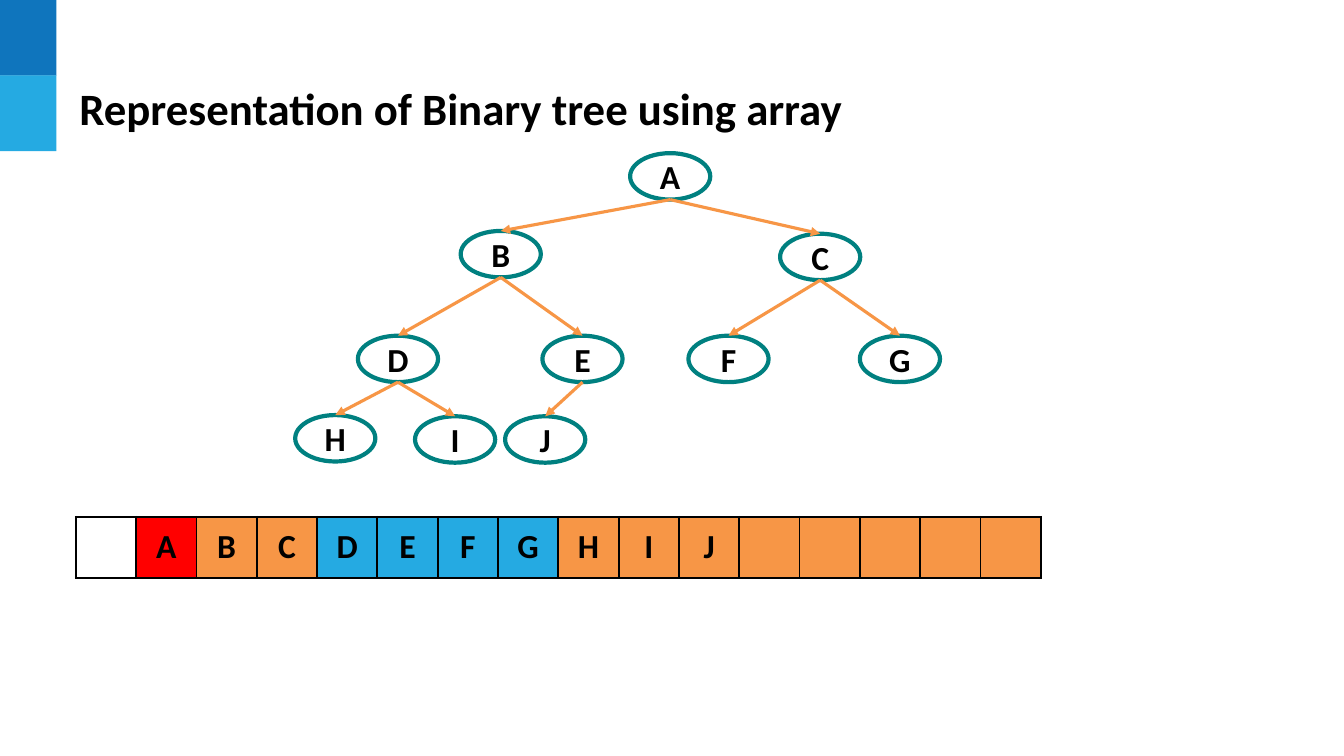
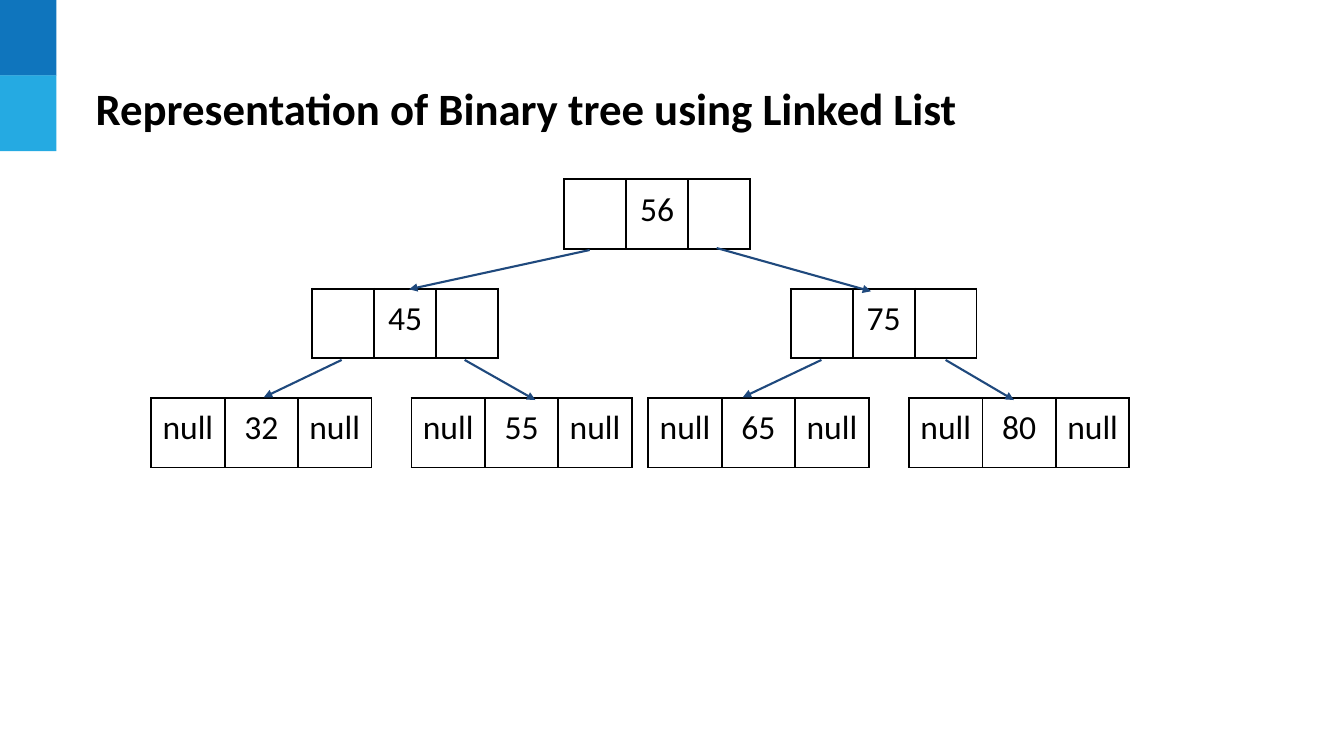
from lxml import etree
from pptx import Presentation
from pptx.dml.color import RGBColor
from pptx.enum.shapes import MSO_CONNECTOR, MSO_SHAPE
from pptx.enum.text import MSO_ANCHOR, PP_ALIGN
from pptx.oxml.ns import qn
from pptx.util import Cm, Pt

RECTANGLE, OVAL = MSO_SHAPE.RECTANGLE, MSO_SHAPE.OVAL
STRAIGHT = MSO_CONNECTOR.STRAIGHT
TOP, MIDDLE = MSO_ANCHOR.TOP, MSO_ANCHOR.MIDDLE
CENTER = PP_ALIGN.CENTER

FONT = "Calibri"
BLACK, WHITE = "000000", "FFFFFF"
DARK_BLUE, LIGHT_BLUE = "0F75BD", "25AAE2"
TEAL, ORANGE, RED, NAVY = "008080", "F79646", "FF0000", "1F497D"

# Tree in level order: the children of node i are nodes 2i and 2i + 1
LETTERS = "ABCDEFGHIJ"
NODE_POSITIONS = [
    (15.88, 3.86), (11.61, 5.82), (19.66, 5.89), (9.02, 8.46), (13.67, 8.46),
    (17.35, 8.46), (21.67, 8.46), (7.44, 10.46), (10.46, 10.49), (12.73, 10.49),
]
NODE_SIZE = (2.02, 1.17)
ARRAY_LENGTH = 16
LEVEL_FILLS = [None, RED, ORANGE, LIGHT_BLUE, ORANGE]

# Linked list: value and left edge of each record, level by level
INNER_RECORDS = [("56", 14.22, 4.52), ("45", 7.87, 7.28), ("75", 19.93, 7.28)]
LEAF_RECORDS = [("32", 3.81), ("55", 10.37), ("65", 16.34), ("80", 22.91)]
LEAF_TOP = 10.03
LINKS = [
    (14.86, 6.3, 10.31, 7.29), (18.06, 6.25, 21.95, 7.34),
    (8.61, 9.07, 6.65, 10.01), (11.71, 9.07, 13.49, 10.08),
    (20.7, 9.07, 18.72, 10.01), (23.83, 9.07, 25.55, 10.08),
]


def color(hex_code):
    return RGBColor.from_string(hex_code)


def add_run(paragraph, text, size, bold):
    run = paragraph.add_run()
    run.text = text
    run.font.name = FONT
    run.font.size = Pt(size)
    run.font.bold = bold
    run.font.color.rgb = color(BLACK)


def add_filled_shape(slide, preset, left, top, width, height, fill):
    shape = slide.shapes.add_shape(preset, Cm(left), Cm(top), Cm(width), Cm(height))
    shape.shadow.inherit = False
    shape.fill.solid()
    shape.fill.fore_color.rgb = color(fill)
    shape.line.fill.background()
    return shape


def add_titled_slide(prs, title, title_left):
    slide = prs.slides.add_slide(prs.slide_layouts[6])
    # Corner squares
    for row, fill in enumerate((DARK_BLUE, LIGHT_BLUE)):
        add_filled_shape(slide, RECTANGLE, 0, row * 1.9, 1.42, 1.91, fill)
    # Title
    heading = slide.shapes.add_textbox(Cm(title_left), Cm(1.57), Cm(30.35), Cm(2.29))
    frame = heading.text_frame
    frame.word_wrap = True
    frame.vertical_anchor = MIDDLE
    add_run(frame.paragraphs[0], title, 32, True)
    return slide


def add_node(slide, letter, left, top):
    node = add_filled_shape(slide, OVAL, left, top, *NODE_SIZE, WHITE)
    node.line.color.rgb = color(TEAL)
    node.line.width = Pt(3)
    node.text_frame.vertical_anchor = MIDDLE
    paragraph = node.text_frame.paragraphs[0]
    paragraph.alignment = CENTER
    add_run(paragraph, letter, 24, True)
    return node


def add_arrow(slide, x1, y1, x2, y2, line_color, width):
    arrow = slide.shapes.add_connector(STRAIGHT, Cm(x1), Cm(y1), Cm(x2), Cm(y2))
    arrow.line.color.rgb = color(line_color)
    arrow.line.width = Pt(width)
    properties = arrow._element.spPr
    etree.SubElement(properties.find(qn("a:ln")), qn("a:tailEnd"), type="triangle")
    etree.SubElement(properties, qn("a:effectLst"))
    return arrow


def add_edge(slide, parent, child):
    edge = add_arrow(slide, 0, 0, 1, 1, ORANGE, 2.25)
    edge.begin_connect(parent, 2)
    edge.end_connect(child, 0)
    # An oval has eight connection sites; its bottom is number 4
    next(edge._element.iter(qn("a:stCxn"))).set("idx", "4")


def set_borders(cell):
    properties = cell._tc.get_or_add_tcPr()
    for side in ("lnL", "lnR", "lnT", "lnB"):
        border = etree.SubElement(properties, qn("a:" + side), w=str(Pt(1.5)))
        fill = etree.SubElement(border, qn("a:solidFill"))
        etree.SubElement(fill, qn("a:srgbClr"), val=BLACK)


def add_cell_row(slide, texts, left, top, cell_width, height,
                 fills=None, bold=False, anchor=TOP):
    count = len(texts)
    table = slide.shapes.add_table(1, count, Cm(left), Cm(top),
                                   Cm(cell_width * count), Cm(height)).table
    table.first_row = table.horz_banding = False
    for index, text in enumerate(texts):
        table.columns[index].width = Cm(cell_width)
        cell = table.cell(0, index)
        set_borders(cell)
        cell.margin_left = cell.margin_right = Cm(0.25)
        cell.margin_top = cell.margin_bottom = Cm(0.25)
        cell.vertical_anchor = anchor
        if fills and fills[index]:
            cell.fill.solid()
            cell.fill.fore_color.rgb = color(fills[index])
        else:
            cell.fill.background()
        if text:
            paragraph = cell.text_frame.paragraphs[0]
            paragraph.alignment = CENTER
            add_run(paragraph, text, 24, bold)


def build_array_slide(prs):
    slide = add_titled_slide(prs, "Representation of Binary tree using array", 1.75)
    # Tree
    nodes = [add_node(slide, letter, *position)
             for letter, position in zip(LETTERS, NODE_POSITIONS)]
    for number in range(2, len(nodes) + 1):
        add_edge(slide, nodes[number // 2 - 1], nodes[number - 1])
    # Array, coloured by tree level; cell 0 stays unused
    spare = ARRAY_LENGTH - 1 - len(LETTERS)
    texts = ["", *LETTERS] + [""] * spare
    fills = [LEVEL_FILLS[index.bit_length()] for index in range(ARRAY_LENGTH)]
    add_cell_row(slide, texts, 1.91, 13.02, 1.52, 1.54, fills, True, MIDDLE)


def build_linked_list_slide(prs):
    slide = add_titled_slide(prs, "Representation of Binary tree using Linked List", 2.16)
    # Records
    for value, left, top in INNER_RECORDS:
        add_cell_row(slide, ["", value, ""], left, top, 1.56, 1.75)
    for value, left in LEAF_RECORDS:
        add_cell_row(slide, ["null", value, "null"], left, LEAF_TOP, 1.85, 1.75)
    # Pointers
    for link in LINKS:
        add_arrow(slide, *link, NAVY, 1.5)


def main():
    prs = Presentation()
    prs.slide_width, prs.slide_height = Cm(33.87), Cm(19.05)
    build_array_slide(prs)
    build_linked_list_slide(prs)
    prs.save("out.pptx")


if __name__ == "__main__":
    main()
